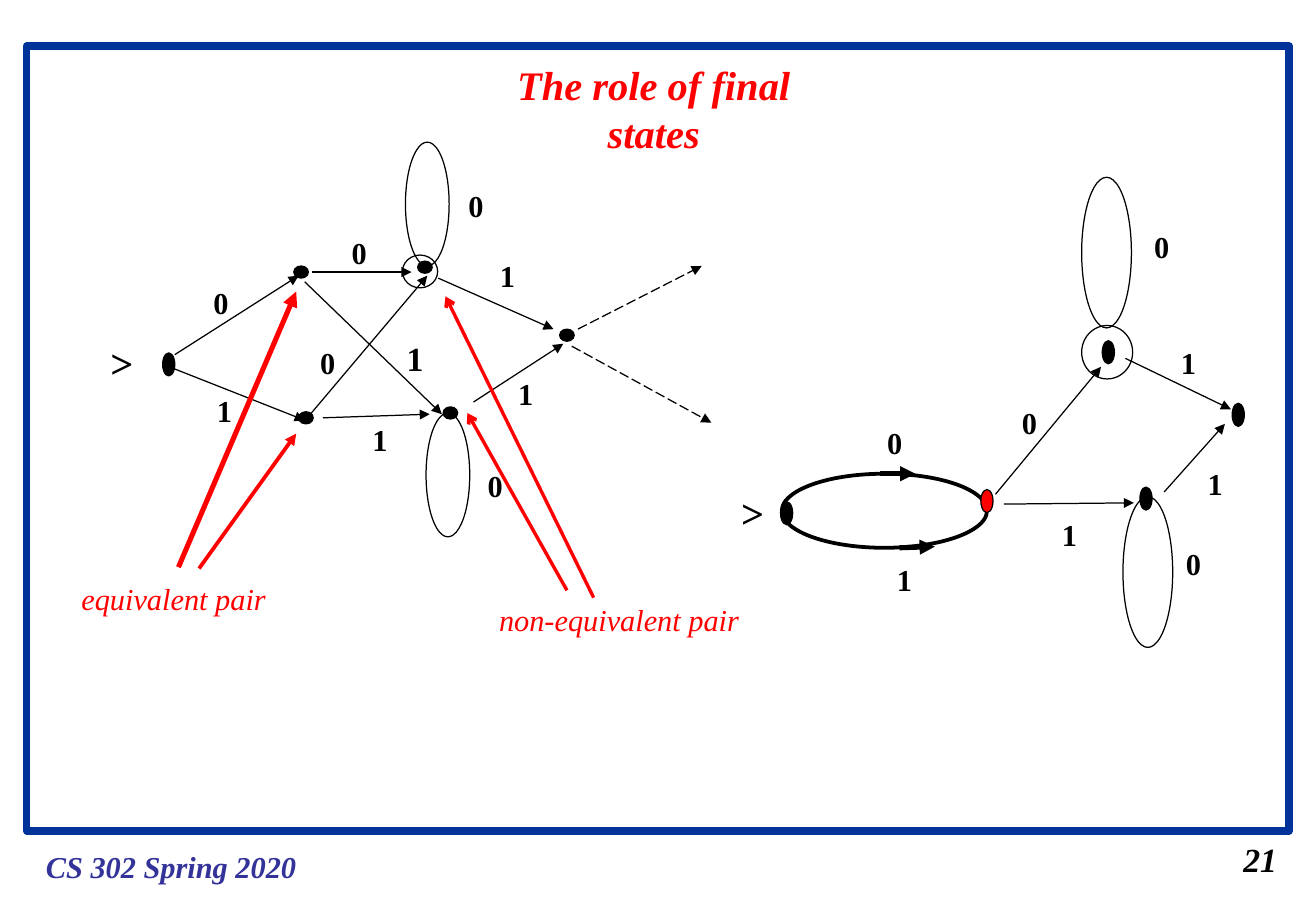
from lxml.etree import SubElement
from pptx import Presentation
from pptx.dml.color import RGBColor
from pptx.enum.dml import MSO_LINE_DASH_STYLE as Dash
from pptx.enum.shapes import MSO_CONNECTOR as Connector, MSO_SHAPE as Shape
from pptx.enum.text import MSO_ANCHOR as Anchor, MSO_AUTO_SIZE as AutoSize, PP_ALIGN as Align
from pptx.oxml.ns import qn
from pptx.util import Inches, Pt

# Lengths are columns and rows of a grid with cells of a tenth of an inch.
COLUMNS, ROWS = 108.4, 75
FONT = "Times New Roman"
BLACK, RED, BLUE, INDIGO = "000000", "FF0000", "003399", "333399"

TITLE = "The role of final states"
FRAME = (54.2, 36.1, 104, 64.6)  # centre column, centre row, width, height

DOT, OVAL = (1.2, 1), (1, 1.9)
STATES = [  # size, fill, centres
    (DOT, BLACK, [(24.8, 22.4), (25.2, 34.4), (35, 22), (37.1, 34), (46.7, 27.6)]),
    (OVAL, BLACK, [(13.9, 30), (64.8, 42.25), (91.3, 29), (94.4, 41.05), (102, 34.15)]),
    (OVAL, RED, [(81.3, 41.25)]),
]

SMALL_LOOP, LARGE_LOOP = (3.6, 10.2), (4.1, 12.4)
OUTLINES = [  # size, line width, centres
    (SMALL_LOOP, 0.75, [(35.2, 16.8), (36.9, 39.1)]),
    (LARGE_LOOP, 0.75, [(91.15, 20.8), (94.55, 47.1)]),
    ((2.9, 2.7), 0.75, [(34.6, 22.35)]),
    ((4.2, 4.4), 0.75, [(91.2, 29)]),
    ((16.9, 6.1), 2.25, [(72.85, 42.05)]),
]

ARROWS = [  # colour, line width, head, dash, (start column, start row, end column, end row)
    (BLACK, 0.75, "triangle", Dash.LONG_DASH, [
        (47.6, 27.1, 57.8, 21.9), (47.1, 28.5, 58.6, 34.8)]),
    (BLACK, 0.75, "triangle", None, [
        (14.4, 29.2, 24.6, 22.7), (14.2, 30.3, 25.1, 34.6),
        (25.1, 23.2, 36.4, 34.1), (25.4, 34.3, 35.2, 22.7),
        (25.7, 22.4, 33.9, 22.4), (26.6, 34.4, 35.4, 34.1),
        (36.1, 22.9, 45.6, 27.1), (39, 33.1, 46.4, 28.3),
        (82, 40.7, 90.7, 30.2), (82.7, 41.5, 93.4, 41.4),
        (92.7, 29.5, 101.4, 33.7), (95.9, 40.5, 100.9, 34.9)]),
    (BLACK, 3, "triangle", None, [(72.5, 39, 75.4, 39), (74.1, 45.1, 77, 45)]),
    (RED, 3, "triangle", None, [(14.7, 46.7, 24.4, 24)]),
    (RED, 2.25, "triangle", None, [(16.4, 46.8, 24.4, 35.7)]),
    (RED, 2, "arrow", None, [(48.9, 49.2, 36.7, 24.4), (46.7, 48.6, 38.5, 34)]),
]

SYMBOLS = [  # text, size, centres
    ("0", 18, [(18.2, 24.9), (29.6, 20.8), (27, 29.8), (40.8, 40), (39.2, 16.9),
               (73.7, 36.4), (84.8, 34.8), (95.7, 20.3), (98.3, 46.4)]),
    ("1", 18, [(18.5, 33.8), (31.3, 36.2), (41.8, 22.7), (43.3, 32.4),
               (74.5, 47.7), (88.1, 44), (97.9, 29.8), (100.1, 39.8)]),
    ("1", 20, [(34.2, 29.5)]),
    (">", 24, [(10.05, 29.8), (62, 42.2)]),
]

CAPTIONS = [  # text, size, colour, bold, centre, width
    ("equivalent pair", 18, RED, False, (14.3, 49.3), 17.2),
    ("non-equivalent pair", 18, RED, False, (51, 51), 21.8),
    ("CS 302 Spring 2020", 18, INDIGO, True, (14.1, 71.3), 22.6),
    ("21", 20, BLACK, True, (103.8, 70.7), 4.8),
]


def cells(count):
    return Inches(count / 10)


def rgb(colour):
    return RGBColor.from_string(colour)


def box(centre, size):
    """Left, top, width and height of a box around a centre."""
    (x, y), (width, height) = centre, size
    return [cells(v) for v in (x - width / 2, y - height / 2, width, height)]


def add_outline(kind, centre, size, line, weight, fill=None):
    shape = slide.shapes.add_shape(kind, *box(centre, size))
    shape.shadow.inherit = False
    shape.line.color.rgb = rgb(line)
    shape.line.width = Pt(weight)
    if fill:
        shape.fill.solid()
        shape.fill.fore_color.rgb = rgb(fill)
    else:
        shape.fill.background()


def add_arrow(ends, colour, weight, head, dash):
    arrow = slide.shapes.add_connector(Connector.STRAIGHT, *map(cells, ends))
    arrow.line.color.rgb = rgb(colour)
    arrow.line.width = Pt(weight)
    if dash:
        arrow.line.dash_style = dash
    properties = arrow._element.spPr
    SubElement(properties.find(qn("a:ln")), qn("a:tailEnd"), type=head)
    SubElement(properties, qn("a:effectLst"))


def write(holder, text, size, colour, bold, italic):
    frame = holder.text_frame
    frame.word_wrap = False
    frame.auto_size = AutoSize.NONE
    frame.vertical_anchor = Anchor.MIDDLE
    paragraph = frame.paragraphs[0]
    paragraph.alignment = Align.CENTER
    run = paragraph.add_run()
    run.text = text
    font = run.font
    font.name, font.size, font.bold, font.italic = FONT, Pt(size), bold, italic
    font.color.rgb = rgb(colour)


def add_label(centre, width, *style):
    write(slide.shapes.add_textbox(*box(centre, (width, 4))), *style)


deck = Presentation()
deck.slide_width, deck.slide_height = cells(COLUMNS), cells(ROWS)
slide = deck.slides.add_slide(deck.slide_layouts[5])

title = slide.shapes.title
title.left, title.top, title.width, title.height = box((53.85, 8.9), (32.9, 5))
write(title, TITLE, 24, RED, True, True)

add_outline(Shape.RECTANGLE, FRAME[:2], FRAME[2:], BLUE, 4.5)
for size, weight, centres in OUTLINES:
    for centre in centres:
        add_outline(Shape.OVAL, centre, size, BLACK, weight)
for colour, weight, head, dash, paths in ARROWS:
    for ends in paths:
        add_arrow(ends, colour, weight, head, dash)
for size, fill, centres in STATES:
    for centre in centres:
        add_outline(Shape.OVAL, centre, size, BLACK, 0.75, fill)
for text, size, centres in SYMBOLS:
    for centre in centres:
        add_label(centre, 3.2, text, size, BLACK, True, False)
for text, size, colour, bold, centre, width in CAPTIONS:
    add_label(centre, width, text, size, colour, bold, True)

deck.save("out.pptx")
